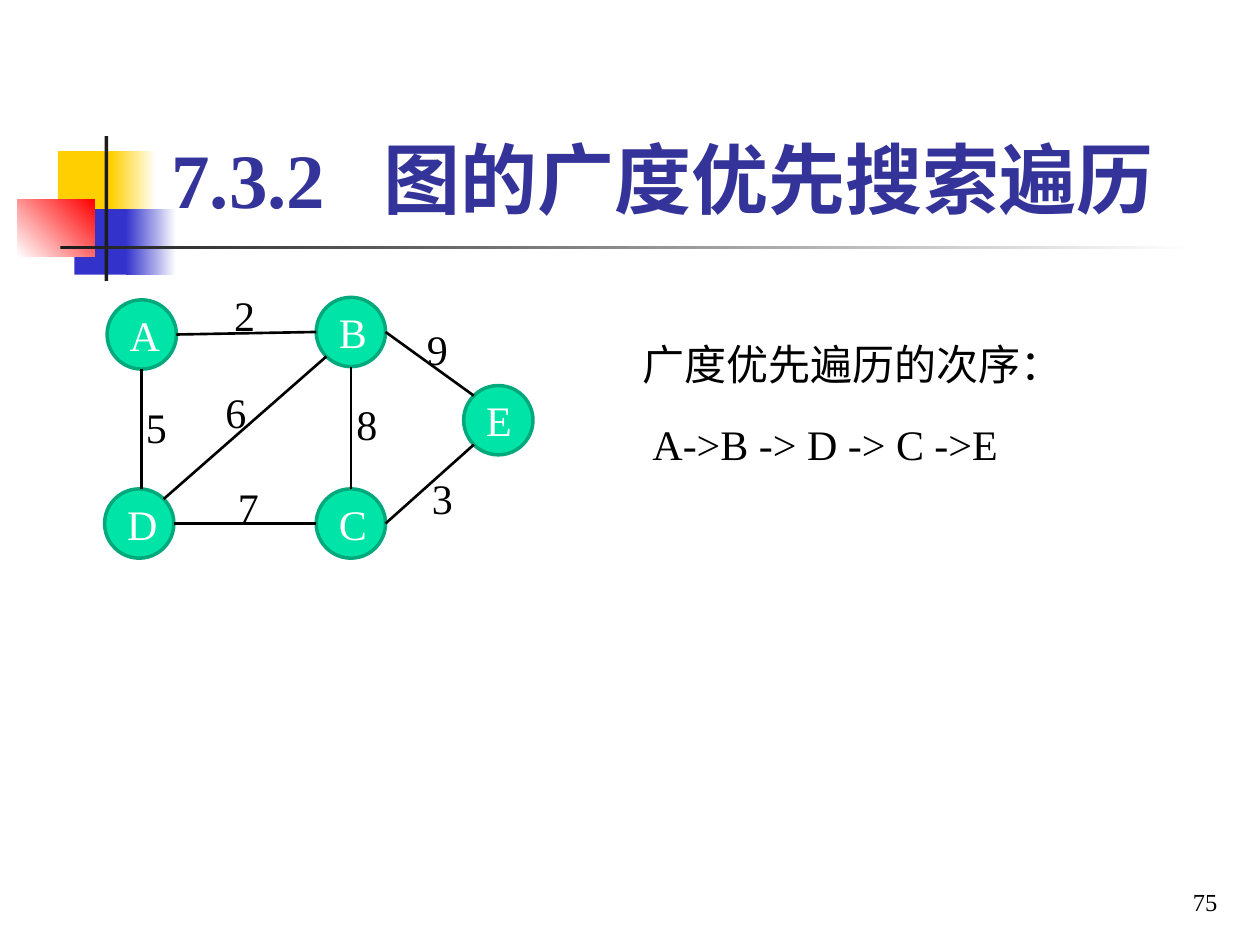
from typing import NamedTuple, Optional

from lxml import etree
from pptx import Presentation
from pptx.dml.color import RGBColor
from pptx.enum.shapes import MSO_CONNECTOR, MSO_SHAPE
from pptx.enum.text import MSO_ANCHOR, MSO_AUTO_SIZE, PP_ALIGN
from pptx.oxml.ns import qn
from pptx.util import Inches, Pt

RECT, OVAL = MSO_SHAPE.RECTANGLE, MSO_SHAPE.OVAL
STRAIGHT = MSO_CONNECTOR.STRAIGHT
LEFT, CENTER, RIGHT = PP_ALIGN.LEFT, PP_ALIGN.CENTER, PP_ALIGN.RIGHT
BOTTOM = MSO_ANCHOR.BOTTOM
GROW = MSO_AUTO_SIZE.SHAPE_TO_FIT_TEXT

FONT = "Times New Roman"
WHITE = RGBColor(0xFF, 0xFF, 0xFF)
BLACK = RGBColor(0, 0, 0)
YELLOW = RGBColor(0xFF, 0xCF, 0x01)
BLUE = RGBColor(0x33, 0x33, 0xCC)
RED = RGBColor(0xFF, 0, 0)
CHARCOAL = RGBColor(0x1C, 0x1C, 0x1C)
NAVY = RGBColor(0x33, 0x33, 0x99)
GREEN = RGBColor(0, 0xE4, 0xA8)
DARK_GREEN = RGBColor(0, 0xA9, 0x7C)

WIDTH, HEIGHT = Inches(10), Inches(7.5)
COLUMNS, ROWS = 100, 75
NODE_SIZE = 5.5
DIAGONAL = 0.5 ** 0.5 / 2
SITES = {
    "top": (0.5, 0),
    "bottom": (0.5, 1),
    "left": (0, 0.5),
    "right": (1, 0.5),
    "top left": (0.5 - DIAGONAL, 0.5 - DIAGONAL),
    "top right": (0.5 + DIAGONAL, 0.5 - DIAGONAL),
    "bottom left": (0.5 - DIAGONAL, 0.5 + DIAGONAL),
}


class Box(NamedTuple):
    col: float
    row: float
    cols: float
    rows: float


class Bar(NamedTuple):
    box: Box
    color: RGBColor
    end: Optional[RGBColor] = None
    angle: float = 0


class Node(NamedTuple):
    col: float
    row: float


class Edge(NamedTuple):
    start: str
    start_site: str
    end: str
    end_site: str


class Weight(NamedTuple):
    text: str
    col: float
    row: float


BARS = [
    Bar(Box(4.6, 12, 4.8, 5.2), YELLOW),
    Bar(Box(8.8, 12, 3.6, 5.2), YELLOW, WHITE),
    Bar(Box(5.9, 16.6, 4.6, 5.2), BLUE),
    Bar(Box(10, 16.6, 4, 5.2), BLUE, WHITE),
    Bar(Box(1.4, 15.8, 6.1, 4.6), WHITE, RED, 45),
    Bar(Box(8.3, 10.8, 0.3, 11.5), CHARCOAL),
    Bar(Box(4.8, 19.5, 90, 0.3), CHARCOAL, WHITE),
]
NODES = {
    "A": Node(8.5, 23.8),
    "D": Node(8.3, 38.8),
    "C": Node(25.1, 38.8),
    "B": Node(25.1, 23.6),
    "E": Node(36.8, 30.6),
}
EDGES = [
    Edge("A", "bottom", "D", "top"),
    Edge("A", "right", "B", "left"),
    Edge("D", "right", "C", "left"),
    Edge("B", "bottom", "C", "top"),
    Edge("E", "bottom left", "C", "right"),
    Edge("E", "top left", "B", "right"),
    Edge("D", "top right", "B", "bottom left"),
]
WEIGHTS = [
    Weight("2", 17.6, 22.5),
    Weight("5", 10.6, 31.4),
    Weight("8", 27.3, 31.1),
    Weight("9", 32.9, 25.2),
    Weight("3", 33.3, 37),
    Weight("7", 17.9, 37.7),
    Weight("6", 16.9, 30.2),
]


def x(col: float) -> int:
    return round(WIDTH * col / COLUMNS)


def y(row: float) -> int:
    return round(HEIGHT * row / ROWS)


def place(box: Box) -> tuple:
    return x(box.col), y(box.row), x(box.cols), y(box.rows)


def write(sp, text: str, size: float, color: RGBColor, align=LEFT, bold=False) -> None:
    p = sp.text_frame.paragraphs[0]
    p.text = text
    p.alignment = align
    for r in p.runs:
        r.font.name, r.font.size, r.font.bold = FONT, Pt(size), bold
        r.font.color.rgb = color


def draw_bar(s, bar: Bar) -> None:
    sp = s.shapes.add_shape(RECT, *place(bar.box))
    sp.shadow.inherit = False
    sp.line.fill.background()
    if bar.end is None:
        sp.fill.solid()
        sp.fill.fore_color.rgb = bar.color
        return
    sp.fill.gradient()
    sp.fill.gradient_angle = bar.angle
    for stop, color in zip(sp.fill.gradient_stops, (bar.color, bar.end)):
        stop.color.rgb = color


def draw_node(s, name: str, node: Node) -> None:
    sp = s.shapes.add_shape(OVAL, *place(Box(*node, NODE_SIZE, NODE_SIZE)))
    sp.shadow.inherit = False
    sp.fill.solid()
    sp.fill.fore_color.rgb = GREEN
    sp.line.color.rgb = DARK_GREEN
    sp.line.width = Pt(2)
    write(sp, name, 24, WHITE, CENTER)


def site_point(name: str, site: str) -> tuple:
    node, (across, down) = NODES[name], SITES[site]
    return x(node.col + across * NODE_SIZE), y(node.row + down * NODE_SIZE)


def draw_edge(s, edge: Edge) -> None:
    x1, y1 = site_point(edge.start, edge.start_site)
    x2, y2 = site_point(edge.end, edge.end_site)
    if edge.start_site == "bottom":
        x2 = x1
    line = s.shapes.add_connector(STRAIGHT, x1, y1, x2, y2)
    line.line.color.rgb = BLACK
    line.line.width = Pt(1.5)
    etree.SubElement(line._element.spPr, qn("a:effectLst"))


def draw_text(s, text: str, box: Box, wrap: bool) -> None:
    sp = s.shapes.add_textbox(*place(box))
    sp.text_frame.word_wrap = wrap
    sp.text_frame.auto_size = GROW
    write(sp, text, 24, BLACK)


def main() -> None:
    prs = Presentation()
    prs.slide_width, prs.slide_height = WIDTH, HEIGHT
    s = prs.slides.add_slide(prs.slide_layouts[5])
    for bar in BARS:
        draw_bar(s, bar)

    title = s.shapes.title
    s.shapes._spTree.append(title._element)
    title.left, title.top, title.width, title.height = place(Box(12.6, 9.1, 85.2, 9.2))
    title.text_frame.vertical_anchor = BOTTOM
    write(title, "7.3.2   图的广度优先搜索遍历", 44, NAVY, bold=True)

    number = s.shapes.add_textbox(*place(Box(76.8, 68.2, 20.8, 5)))
    number.text_frame.word_wrap = True
    number.text_frame.vertical_anchor = BOTTOM
    write(number, "75", 14, BLACK, RIGHT)

    for name, node in NODES.items():
        draw_node(s, name, node)
    for edge in EDGES:
        draw_edge(s, edge)
    for weight in WEIGHTS:
        draw_text(s, weight.text, Box(weight.col, weight.row, 3.1, 5.1), True)
    draw_text(s, "广度优先遍历的次序：", Box(50, 26.4, 35.7, 5), False)
    draw_text(s, "A->B -> D -> C ->E", Box(50.8, 32.7, 29.7, 5), False)
    prs.save("out.pptx")


if __name__ == "__main__":
    main()
